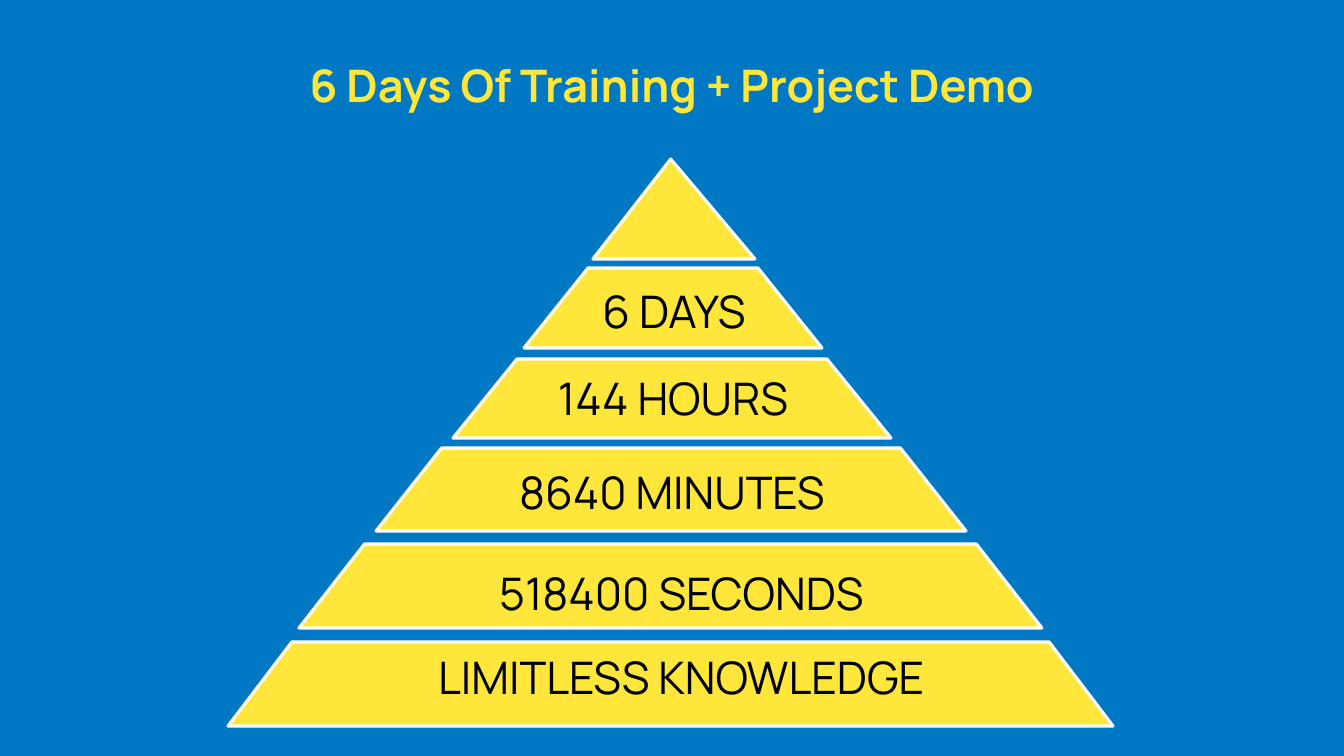
from pptx import Presentation
from pptx import util as u
from pptx.dml.color import RGBColor
from pptx.enum import shapes, text

EMU_PER_PX = 914400 / 100.8
COLORS = {"background": "0078C4", "yellow": "FFE63B", "outline": "FFFFFF", "ink": "000000"}
TRIANGLE = shapes.MSO_SHAPE.ISOSCELES_TRIANGLE
TRAPEZOID = shapes.MSO_SHAPE.TRAPEZOID

# Outline, (left, top, width, height), adjustment
TIERS = [
    (TRIANGLE, (593, 159, 162, 100), 0.48),
    (TRAPEZOID, (524, 268, 298, 80), 0.8),
    (TRAPEZOID, (453, 359, 438, 79), 0.81),
    (TRAPEZOID, (376, 448, 590, 83), 0.79),
    (TRAPEZOID, (299, 544, 743, 84), 0.78),
    (TRAPEZOID, (228, 642, 885, 84), 0.76),
]
SNUG_LABELS = [
    ("6 DAYS", (552, 279, 244, 65)),
    ("144 HOURS", (524, 366, 298, 65)),
    ("8640 MINUTES", (453, 460, 438, 65)),
]
WIDE_LABELS = [
    ("518400 SECONDS", (218, 524, 927, 132)),
    ("LIMITLESS KNOWLEDGE", (206, 604, 951, 139)),
]


def px(length):
    return u.Emu(round(length * EMU_PER_PX))


def color(name):
    return RGBColor.from_string(COLORS[name])


def add_tier(slide, outline, box, adjustment):
    tier = slide.shapes.add_shape(outline, *map(px, box))
    tier.adjustments[0] = adjustment
    tier.shadow.inherit = False
    tier.fill.solid()
    tier.fill.fore_color.rgb = color("yellow")
    tier.line.color.rgb = color("outline")
    tier.line.width = u.Pt(2.25)


def add_label(slide, wording, box, ink="ink", bold=False):
    """Add one centred line of text and return its frame."""
    frame = slide.shapes.add_textbox(*map(px, box)).text_frame
    frame.word_wrap = True
    line = frame.paragraphs[0]
    line.text = wording
    line.alignment = text.PP_ALIGN.CENTER
    font = line.runs[0].font
    font.name = "Manrope"
    font.size = u.Pt(32)
    font.bold = bold
    font.color.rgb = color(ink)
    return frame


def center_in_box(frame, lift=0):
    """Centre the text vertically without margins, raised by half of lift."""
    frame.vertical_anchor = text.MSO_ANCHOR.MIDDLE
    frame.margin_left = frame.margin_right = frame.margin_top = 0
    frame.margin_bottom = px(lift)
    frame.paragraphs[0].line_spacing = 1.1


def main():
    deck = Presentation()
    deck.slide_width, deck.slide_height = px(1344), px(756)
    slide = deck.slides.add_slide(deck.slide_layouts[6])
    slide.background.fill.solid()
    slide.background.fill.fore_color.rgb = color("background")

    title = add_label(slide, "6 Days Of Training + Project Demo", (0, 24, 1344, 169), "yellow", True)
    center_in_box(title, lift=54)
    for tier in TIERS:
        add_tier(slide, *tier)
    for label in SNUG_LABELS:
        add_label(slide, *label).auto_size = text.MSO_AUTO_SIZE.SHAPE_TO_FIT_TEXT
    for label in WIDE_LABELS:
        center_in_box(add_label(slide, *label))

    deck.save("out.pptx")


if __name__ == "__main__":
    main()
